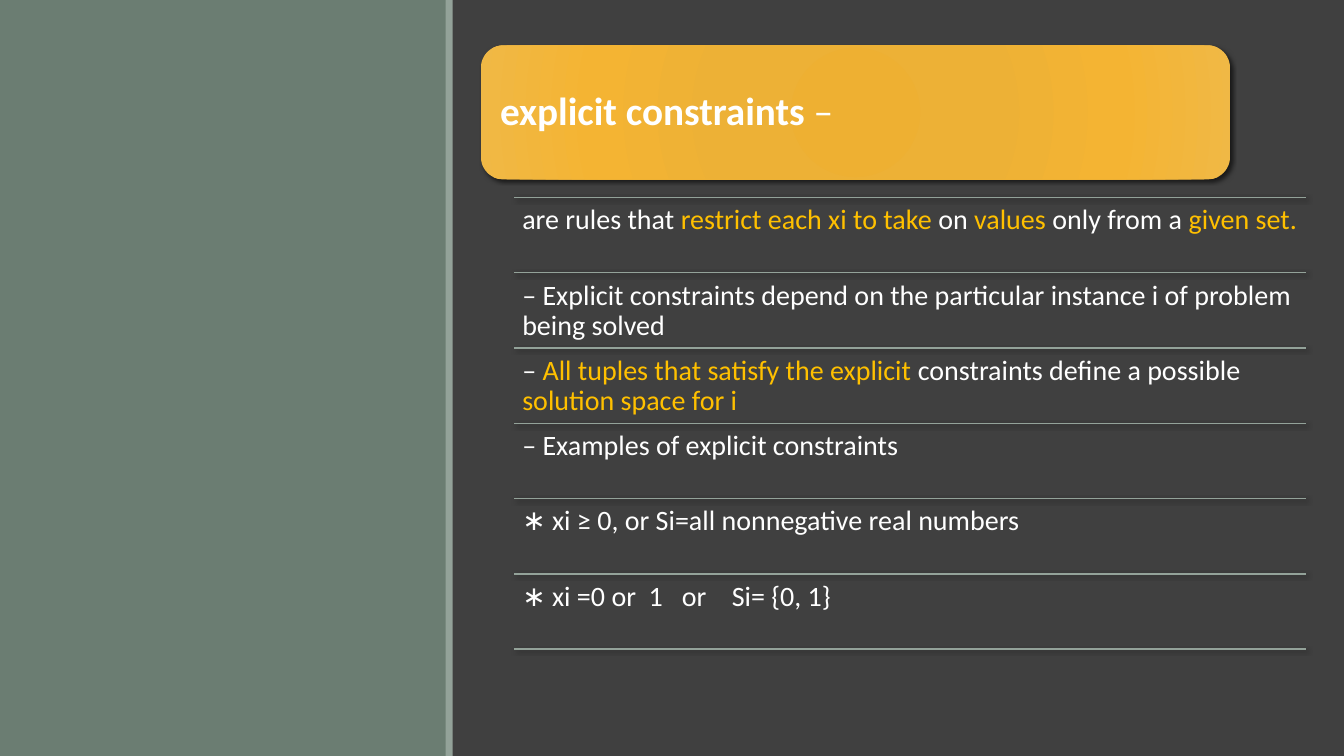
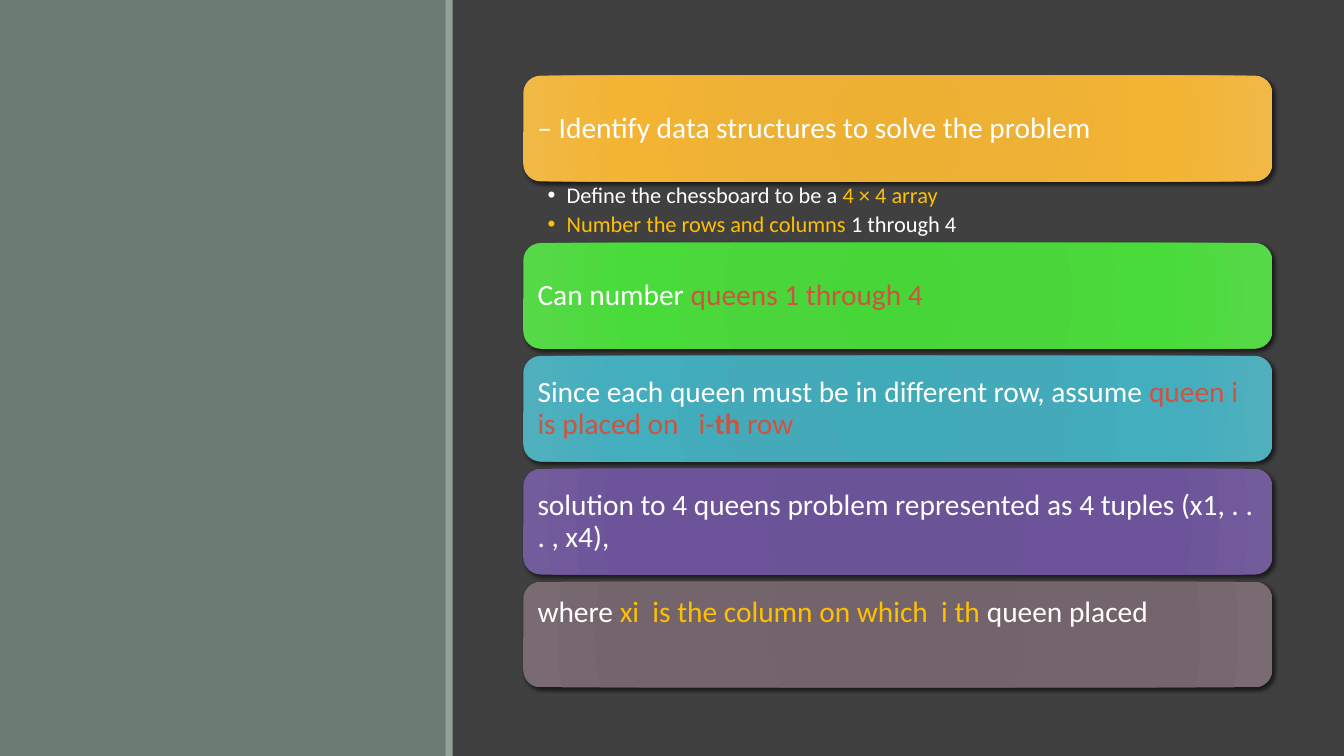
import pptx
import pptx.util
import pptx.dml.color
import pptx.enum.shapes
import pptx.enum.text
import pptx.oxml
import pptx.oxml.ns

Inches = pptx.util.Inches
SHAPE = pptx.enum.shapes.MSO_SHAPE
ANCHOR = pptx.enum.text.MSO_ANCHOR
SPACE = pptx.oxml.ns.nsdecls("a")

DARK, SAGE, MIST = "404040", "6B7D72", "93A299"
WHITE, GOLD, RED = "FFFFFF", "FFC000", "CF543F"
FONT = "Calibri"
STOPS = (0, 34, 70, 100)
AMBER = ("EEB032", "EDB136", "F4B433", "F0B845")
GREEN = ("47D637", "4AD53B", "49DB39", "57D848")
TEAL = ("41AAB9", "44AAB9", "42AEBE", "50AFBD")
PURPLE = ("6A5197", "6B5397", "6C539A", "735C9C")
MAUVE = ("716369", "72646A", "74656C", "796B71")

RULES = [
    [("are rules that ", WHITE), ("restrict each xi to take ", GOLD), ("on ", WHITE),
     ("values", GOLD), (" only from a ", WHITE), ("given set.", GOLD)],
    [("– Explicit constraints depend on the particular instance i of problem being solved", WHITE)],
    [("– ", WHITE), ("All tuples that satisfy the explicit ", GOLD),
     ("constraints define a possible ", WHITE), ("solution space for i", GOLD)],
    [("– Examples of explicit constraints", WHITE)],
    [("∗ xi ≥ 0, or Si=all nonnegative real numbers", WHITE)],
    [("∗ xi =0 or  1   or    Si= {0, 1}", WHITE)],
]
BOARD = [
    [("Define the chessboard to be a ", WHITE), ("4 × 4 array", GOLD)],
    [("Number the rows and columns ", GOLD), ("1 through 4", WHITE)],
]
STEPS = [
    (GREEN, 0.09, [("Can number ", WHITE), ("queens 1 through 4", RED)]),
    (TEAL, 0.09, [("Since each queen must be in different row, assume ", WHITE),
                  ("queen i is placed on   i-", RED), ("th", RED, True), (" row", RED)]),
    (PURPLE, 0.09, [("solution to 4 queens problem represented as 4 tuples (x1, . . . , x4),", WHITE)]),
    (MAUVE, 0.52, [("where ", WHITE), ("xi  is the column on which  i th", GOLD),
                   (" queen placed", WHITE)]),
]


def paint(part, tone):
    part.solid()
    part.fore_color.rgb = pptx.dml.color.RGBColor.from_string(tone)


def shade(shape):
    shape._element.spPr.append(pptx.oxml.parse_xml(
        f'<a:effectLst {SPACE}><a:outerShdw blurRad="38100" dist="25400" dir="2700000" rotWithShape="0">'
        '<a:srgbClr val="000000"><a:alpha val="60000"/></a:srgbClr></a:outerShdw></a:effectLst>'))


def write(para, runs, size):
    para.alignment = pptx.enum.text.PP_ALIGN.LEFT
    para.line_spacing = 0.9
    para.space_before = pptx.util.Pt(0)
    for text, tone, *bold in runs:
        run = para.add_run()
        run.text = text
        run.font.name = FONT
        run.font.size = pptx.util.Pt(size)
        run.font.bold = bool(bold)
        paint(run.font.fill, tone)


def set_frame(frame, sides, anchor):
    frame.word_wrap = True
    frame.auto_size = pptx.enum.text.MSO_AUTO_SIZE.NONE
    frame.vertical_anchor = anchor
    (frame.margin_left, frame.margin_top,
     frame.margin_right, frame.margin_bottom) = map(Inches, sides)


def place(slide, holder, box):
    holder.left, holder.top, holder.width, holder.height = map(Inches, box)
    slide.shapes._spTree.append(holder._element)


def add_bands(slide):
    for left, width, tone in ((0, 4.43, SAGE), (4.42, 0.07, MIST)):
        band = slide.shapes.add_shape(SHAPE.RECTANGLE, Inches(left), 0, Inches(width), Inches(7.5))
        paint(band.fill, tone)
        band.line.fill.background()
        band.shadow.inherit = False


def add_card(slide, box, tones):
    card = slide.shapes.add_shape(SHAPE.ROUNDED_RECTANGLE, *map(Inches, box))
    stops = "".join(f'<a:gs pos="{stop * 1000}"><a:srgbClr val="{tone}"/></a:gs>'
                    for stop, tone in zip(STOPS, tones))
    card._element.spPr.insert(2, pptx.oxml.parse_xml(
        f'<a:gradFill {SPACE} rotWithShape="1"><a:gsLst>{stops}</a:gsLst><a:path path="circle">'
        '<a:fillToRect l="100000" t="100000" r="100000" b="100000"/></a:path></a:gradFill>'))
    card.line.fill.background()
    shade(card)
    return card


def add_title(slide, box, runs, size, inset):
    add_card(slide, box, AMBER)
    title = slide.shapes.title
    place(slide, title, box)
    set_frame(title.text_frame, [inset] * 4, ANCHOR.MIDDLE)
    write(title.text_frame.paragraphs[0], runs, size)


def add_rules(slide, box, rows):
    left, top, width, height = box
    step = height / len(rows)
    for i in range(len(rows) + 1):
        y = top + i * step
        rule = slide.shapes.add_connector(
            pptx.enum.shapes.MSO_CONNECTOR.STRAIGHT,
            Inches(left), Inches(y), Inches(left + width), Inches(y))
        paint(rule.line.fill, MIST)
        rule.line.width = pptx.util.Pt(1)
        shade(rule)
        if i < len(rows):
            cell = slide.shapes.add_textbox(*map(Inches, (left, y, width, step)))
            set_frame(cell.text_frame, [0.08] * 4, ANCHOR.TOP)
            write(cell.text_frame.paragraphs[0], rows[i], 20)


def add_list(slide, box, items):
    body = slide.placeholders[1]
    place(slide, body, box)
    frame = body.text_frame
    set_frame(frame, (0.24, 0.03, 0.16, 0.03), ANCHOR.TOP)
    for i, runs in enumerate(items):
        para = frame.add_paragraph() if i else frame.paragraphs[0]
        props = para._p.get_or_add_pPr()
        props.set("marL", str(Inches(0.19)))
        props.set("indent", str(-Inches(0.19)))
        props.append(pptx.oxml.parse_xml(f'<a:buChar {SPACE} char="•"/>'))
        para.space_after = pptx.util.Pt(3)
        write(para, runs, 16)


def add_steps(slide, box, steps):
    left, top, width, height = box
    gap = 0.07
    tall = (height - gap * (len(steps) - 1)) / len(steps)
    for i, (tones, base, runs) in enumerate(steps):
        card = add_card(slide, (left, top + i * (tall + gap), width, tall), tones)
        set_frame(card.text_frame, (0.09, 0.09, 0.09, base), ANCHOR.MIDDLE)
        write(card.text_frame.paragraphs[0], runs, 21)


def new_slide(deck, layout):
    slide = deck.slides.add_slide(deck.slide_layouts[layout])
    add_bands(slide)
    return slide


def main():
    deck = pptx.Presentation()
    deck.slide_width, deck.slide_height = Inches(13.33), Inches(7.5)
    paint(deck.slide_master.background.fill, DARK)

    slide = new_slide(deck, 5)
    add_rules(slide, (5.1, 1.96, 7.85, 4.48), RULES)
    add_title(slide, (4.77, 0.45, 7.43, 1.33),
              [("explicit constraints", WHITE, True), (" –", WHITE)], 28, 0.19)

    slide = new_slide(deck, 1)
    add_title(slide, (5.19, 0.75, 7.43, 1.05),
              [("– Identify data structures to solve the problem", WHITE)], 21, 0.14)
    add_list(slide, (5.19, 1.8, 7.43, 0.61), BOARD)
    add_steps(slide, (5.19, 2.41, 7.43, 4.41), STEPS)

    deck.save("out.pptx")


if __name__ == "__main__":
    main()
